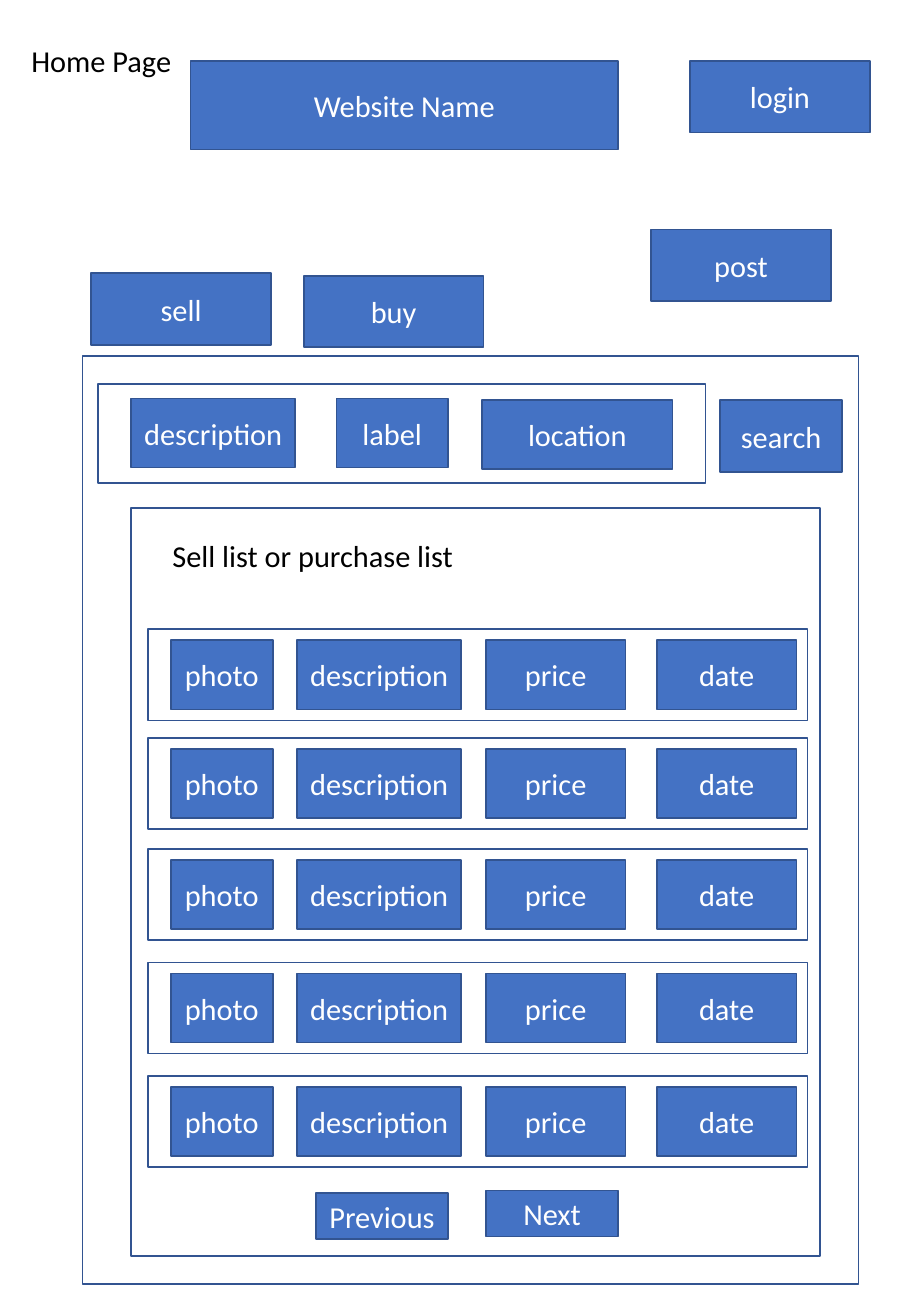
from pptx import Presentation
from pptx import util as u
from pptx.dml.color import RGBColor
from pptx.enum import shapes, text

BLUE = RGBColor(0x44, 0x72, 0xC4)
OUTLINE = RGBColor(0x32, 0x54, 0x91)
WHITE = RGBColor(0xFF, 0xFF, 0xFF)
BLACK = RGBColor(0x00, 0x00, 0x00)

BUTTON_W, BUTTON_H = 106.6, 42.5
CELL_H = 41
PAGER_W, PAGER_H = 78.5, 27.4

BUTTONS = [
    ("Website Name", 113, 36, 253.4, 52.6),
    ("login", 409, 36, BUTTON_W, BUTTON_H),
    ("post", 385.9, 136.1, BUTTON_W, BUTTON_H),
    ("sell", 54, 162, BUTTON_W, BUTTON_H),
    ("buy", 180, 163.4, BUTTON_W, BUTTON_H),
    ("description", 77.8, 236.2, 97.2, CELL_H),
    ("label", 199.4, 236.2, 66.2, CELL_H),
    ("location", 285.8, 237.2, 113, CELL_H),
    ("search", 427, 237.2, 72, BUTTON_H),
    ("Previous", 187.2, 707, PAGER_W, PAGER_H),
    ("Next", 288, 705.6, PAGER_W, PAGER_H),
]
FRAMES = [
    (49, 211, 460, 550),
    (58.3, 227.5, 360, 59),
    (77.8, 301, 408.2, 443.5),
]
ROW_TOPS = [373, 437.5, 503.3, 570.5, 637.8]
ROW_LEFT, ROW_W, ROW_H = 87.8, 391, 54
COLUMNS = [
    ("photo", 101.2, 60.5),
    ("description", 176, 97.5),
    ("price", 288, 82.8),
    ("date", 389.3, 82.8),
]


class Wireframe:
    font = "Calibri"
    size = u.Pt(18)
    line_width = u.Pt(1)

    def __init__(self, slide):
        self.slide = slide

    def label_shape(self, sp, label, color):
        p = sp.text_frame.paragraphs[0]
        p.text = label
        font = p.runs[0].font
        font.name, font.size = self.font, self.size
        font.color.rgb = color
        return p

    def frame(self, *box):
        sp = self.slide.shapes.add_shape(
            shapes.MSO_SHAPE.RECTANGLE, *map(u.Pt, box))
        sp.shadow.inherit = False
        sp.fill.background()
        sp.line.color.rgb = OUTLINE
        sp.line.width = self.line_width
        return sp

    def button(self, label, *box):
        sp = self.frame(*box)
        sp.fill.solid()
        sp.fill.fore_color.rgb = BLUE
        sp.text_frame.vertical_anchor = text.MSO_ANCHOR.MIDDLE
        p = self.label_shape(sp, label, WHITE)
        p.alignment = text.PP_ALIGN.CENTER

    def caption(self, label, *box):
        sp = self.slide.shapes.add_textbox(*map(u.Pt, box))
        tf = sp.text_frame
        tf.word_wrap = False
        tf.auto_size = text.MSO_AUTO_SIZE.SHAPE_TO_FIT_TEXT
        self.label_shape(sp, label, BLACK)

    def list_row(self, top):
        self.frame(ROW_LEFT, top, ROW_W, ROW_H)
        for label, left, width in COLUMNS:
            self.button(label, left, top + (ROW_H - CELL_H) / 2, width, CELL_H)


def main():
    prs = Presentation()
    prs.slide_width, prs.slide_height = u.Pt(540), u.Pt(780)
    s = prs.slides.add_slide(prs.slide_layouts[6])
    page = Wireframe(s)

    for box in FRAMES:
        page.frame(*box)
    for label, *box in BUTTONS:
        page.button(label, *box)
    for top in ROW_TOPS:
        page.list_row(top)
    page.caption("Sell list or purchase list", 95.2, 314.6, 182.9, 29)
    page.caption("Home Page", 11.5, 21.6, 98.6, 29)

    prs.save("out.pptx")


if __name__ == "__main__":
    main()
